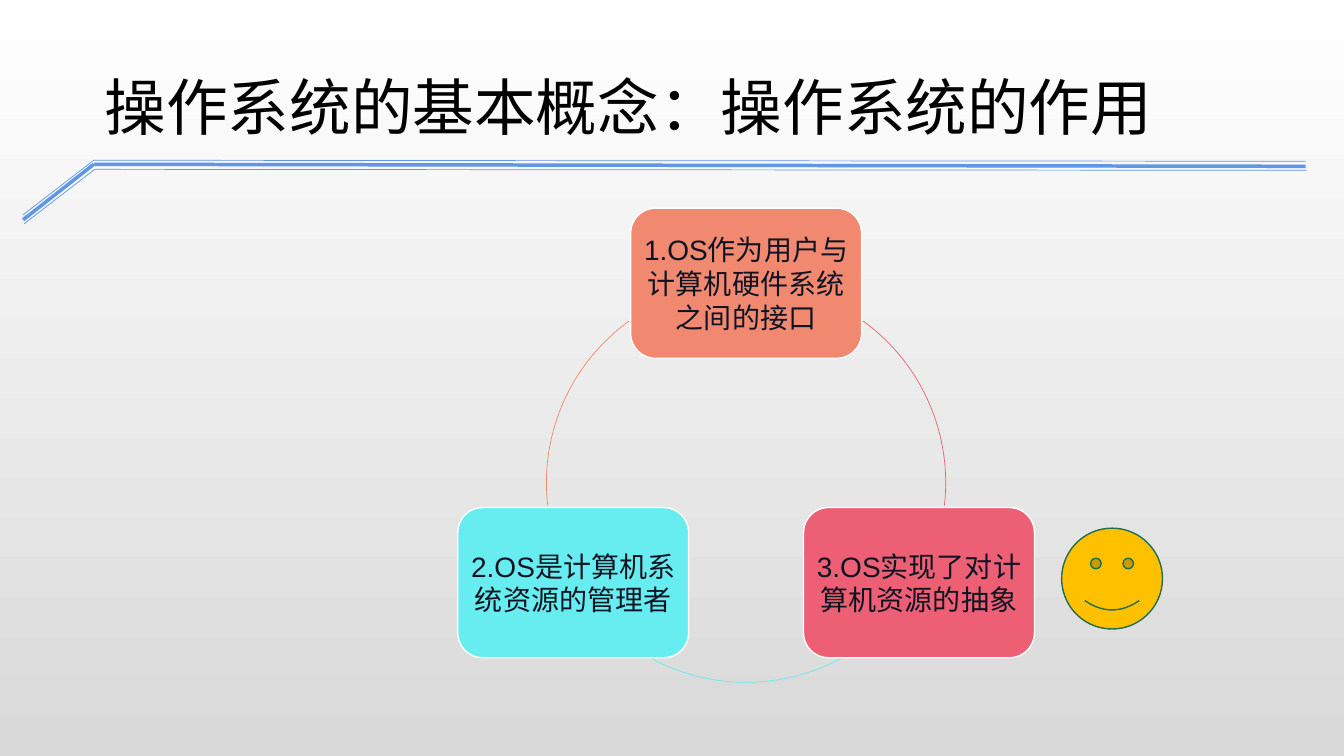
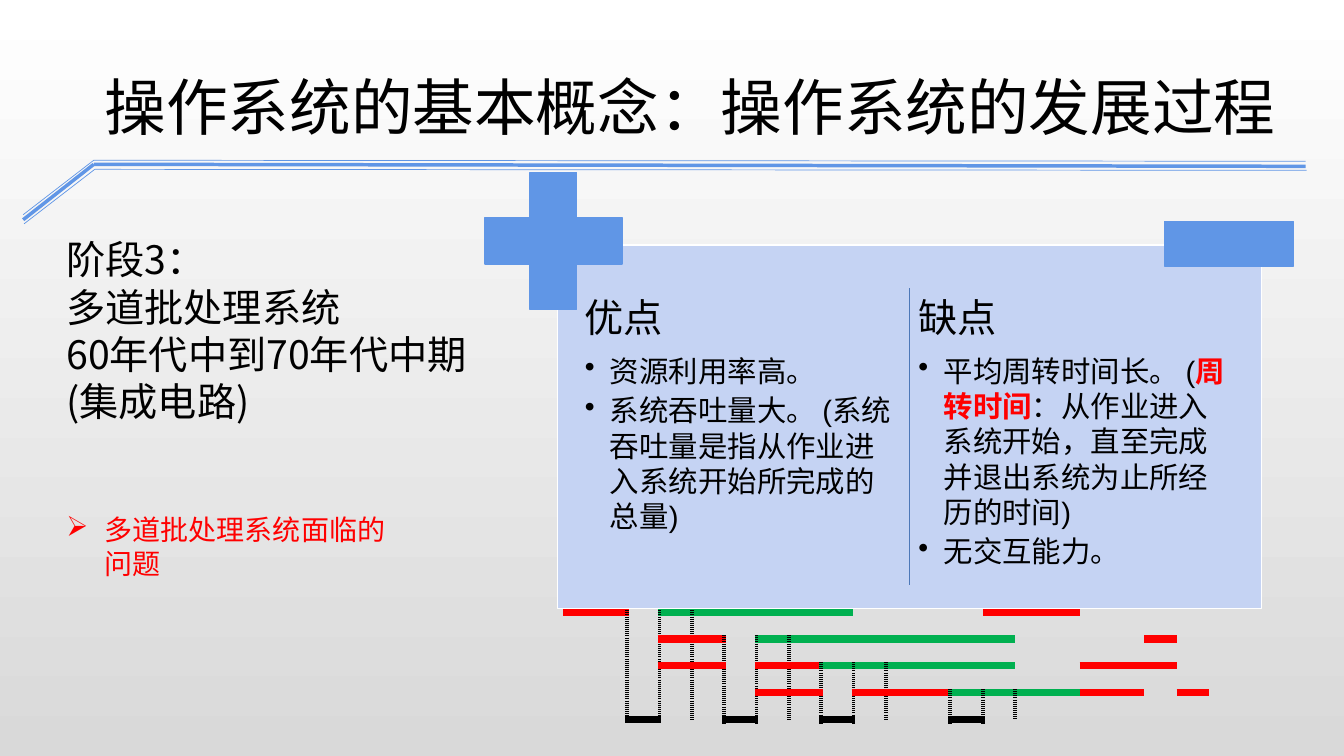
from math import cos, radians, sin

from lxml.etree import SubElement
from pptx import Presentation
from pptx.dml.color import RGBColor
from pptx.enum.shapes import MSO_CONNECTOR as Connector, MSO_SHAPE as Shape
from pptx.enum.text import MSO_ANCHOR as Anchor, PP_ALIGN as Align
from pptx.oxml.ns import qn
from pptx.util import Inches, Pt

COLORS = {
    "white": "FFFFFF", "grey": "D9D9D9", "black": "000000", "ink": "0F1423",
    "blue": "6096E6", "pale": "C5D3F3", "divider": "4D78B8",
    "orange": "F18870", "cyan": "67ECEF", "rose": "EC5F74",
    "yellow": "FFC000", "pine": "226E4B", "red": "FF0000", "green": "00B050",
}
CJK, LATIN = "Noto Sans CJK JP", "Arial"
LINE_HEIGHT = 1.2

BAND = [
    (0.5, [(0.23, 2.13), (0.93, 1.59), (12.95, 1.6)]),
    (2.5, [(0.23, 2.18), (0.93, 1.63), (12.95, 1.65)]),
    (0.5, [(0.24, 2.22), (0.94, 1.68), (12.96, 1.69)]),
]

ROLES_TITLE = "操作系统的基本概念：操作系统的作用"
CYCLE = {"center": (7.4, 4.79), "radius": 1.98, "node": (2.29, 1.49)}
ROLES = [
    ("1.OS作为用户与计算机硬件系统之间的接口", "orange", -90, (173.46, 234.11)),
    ("2.OS是计算机系统资源的管理者", "cyan", 150, (61.66, 118.34)),
    ("3.OS实现了对计算机资源的抽象", "rose", 30, (305.89, 6.54)),
]

HISTORY_TITLE = "操作系统的基本概念：操作系统的发展过程"
STAGE = ["阶段3：", "多道批处理系统", "60年代中到70年代中期(集成电路)"]
PROBLEM = "多道批处理系统面临的问题"
BULLET = {"size": 21, "bullet": "•", "indent": 0.25, "after": 3}
HEADING = {"size": 28, "after": 9}
PROS_CONS = [
    (5.74, "优点", [
        ["资源利用率高。"],
        ["系统吞吐量大。 (系统吞吐量是指从作业进入系统开始所完成的总量)"],
    ]),
    (9.05, "缺点", [
        ["平均周转时间长。 (", ("周转时间", {"color": "red", "bold": True}),
         "：从作业进入系统开始，直至完成并退出系统为止所经历的时间)"],
        ["无交互能力。"],
    ]),
]
JOBS = [
    [("red", 0, 2), ("green", 3, 9), ("red", 13, 16)],
    [("red", 3, 5), ("green", 6, 14), ("red", 18, 19)],
    [("red", 6, 8), ("green", 9, 13), ("red", 16, 18)],
    [("red", 9, 12), ("green", 13, 16), ("red", 19, 20)],
]
SWITCHES = [2, 5, 8, 12]
SLOTS = 20


def rgb(name):
    return RGBColor.from_string(COLORS[name])


def inches(*values):
    return [Inches(value) for value in values]


def write(frame, paragraphs, margins=(0.1, 0.05), anchor=Anchor.TOP):
    side, top = inches(*margins)
    formats = {"word_wrap": True, "vertical_anchor": anchor, "margin_left": side,
               "margin_right": side, "margin_top": top, "margin_bottom": top}
    for name, value in formats.items():
        setattr(frame, name, value)
    for index, (spans, style) in enumerate(paragraphs):
        para = frame.paragraphs[0] if index == 0 else frame.add_paragraph()
        if "bullet" in style:
            indent = Inches(style["indent"])
            properties = para._p.get_or_add_pPr()
            properties.set("marL", str(indent))
            properties.set("indent", str(-indent))
            SubElement(properties, qn("a:buChar"), char=style["bullet"])
        layout = {"alignment": style.get("align", Align.LEFT),
                  "line_spacing": Pt(style["size"] * LINE_HEIGHT),
                  "space_after": Pt(style.get("after", 0))}
        for name, value in layout.items():
            setattr(para, name, value)
        for part in spans:
            text, extra = part if isinstance(part, tuple) else (part, {})
            look = {"font": CJK, "color": "black", "bold": False, **style, **extra}
            span = para.add_run()
            span.text = text
            letters = {"name": look["font"], "size": Pt(look["size"]), "bold": look["bold"]}
            for name, value in letters.items():
                setattr(span.font, name, value)
            span.font.color.rgb = rgb(look["color"])


def add_text(page, place, paragraphs, **options):
    box = page.shapes.add_textbox(*inches(*place))
    write(box.text_frame, paragraphs, **options)


def add_figure(page, kind, place, fill, line, width=1, adjust=()):
    figure = page.shapes.add_shape(kind, *inches(*place))
    figure.shadow.inherit = False
    if fill:
        figure.fill.solid()
        figure.fill.fore_color.rgb = rgb(fill)
    else:
        figure.fill.background()
    figure.line.color.rgb = rgb(line)
    figure.line.width = Pt(width)
    for index, value in enumerate(adjust):
        figure.adjustments[index] = value
    return figure


def add_line(page, start, end, color, width):
    line = page.shapes.add_connector(Connector.STRAIGHT, *inches(*start, *end))
    line.line.color.rgb = rgb(color)
    line.line.width = Pt(width)
    SubElement(line._element.spPr, qn("a:effectLst"))


def add_page(deck, title, width):
    page = deck.slides.add_slide(deck.slide_layouts[6])
    fill = page.background.fill
    fill.gradient()
    fill.gradient_angle = 270
    for stop, color in zip(fill.gradient_stops, ("white", "grey")):
        stop.color.rgb = rgb(color)
    for weight, points in BAND:
        for start, end in zip(points, points[1:]):
            add_line(page, start, end, "blue", weight)
    add_text(page, (0.94, 0.63, width, 0.84), [([title], {"size": 44})])
    return page


def schedule_borders():
    borders = {}
    bars = [(edge, *bar) for edge, job in enumerate(JOBS) for bar in job]
    bars += [(len(JOBS), "black", slot, slot + 1) for slot in SWITCHES]
    for edge, color, first, last in bars:
        for slot in range(first, last):
            borders[edge, slot, "T"] = borders[edge - 1, slot, "B"] = (color, 6, "solid")
    for job, slot in enumerate(SWITCHES):
        for row in range(job, len(JOBS)):
            for column, side in ((slot, "L"), (slot, "R"), (slot - 1, "R"), (slot + 1, "L")):
                borders[row, column, side] = ("black", 3, "sysDot")
    return borders


def add_schedule(page):
    frame = page.shapes.add_table(len(JOBS), SLOTS, *inches(5.58, 6.07, 6.41, 1.07))
    table = frame.table
    table.first_row = table.horz_banding = False
    style = table._tbl.tblPr.find(qn("a:tableStyleId"))
    style.text = "{2D5ABB26-0587-4C30-8999-92F81FD0307C}"
    borders = schedule_borders()
    for row in range(len(JOBS)):
        for column in range(SLOTS):
            cell = table.cell(row, column)
            for side in ("left", "right", "top", "bottom"):
                setattr(cell, f"margin_{side}", 0)
            SubElement(cell.text_frame.paragraphs[0]._p, qn("a:endParaRPr"), sz="800")
            properties = cell._tc.get_or_add_tcPr()
            for side in "LRTB":
                if (row, column, side) in borders:
                    color, width, dash = borders[row, column, side]
                    line = SubElement(properties, qn(f"a:ln{side}"), w=str(Pt(width)))
                    fill = SubElement(line, qn("a:solidFill"))
                    SubElement(fill, qn("a:srgbClr"), val=COLORS[color])
                    SubElement(line, qn("a:prstDash"), val=dash)
            cell.fill.background()


def build_roles(deck):
    page = add_page(deck, ROLES_TITLE, 11.39)
    (x, y), radius, (width, height) = CYCLE.values()
    style = {"size": 20, "font": LATIN, "color": "ink", "align": Align.CENTER}
    for text, color, angle, sweep in ROLES:
        add_figure(page, Shape.ARC, (x - radius, y - radius, 2 * radius, 2 * radius),
                   None, color, 0.5, [degrees * 0.6 for degrees in sweep])
        left = x + radius * cos(radians(angle)) - width / 2
        top = y + radius * sin(radians(angle)) - height / 2
        node = add_figure(page, Shape.ROUNDED_RECTANGLE, (left, top, width, height),
                          color, "white")
        write(node.text_frame, [([text], style)], (0.01, 0.01), Anchor.MIDDLE)
    add_figure(page, Shape.SMILEY_FACE, (10.53, 5.24, 1, 1), "yellow", "pine")


def build_history(deck):
    page = add_page(deck, HISTORY_TITLE, 12.32)
    add_text(page, (0.56, 2.29, 4.19, 1.98), [([line], {"size": 28}) for line in STAGE])
    add_schedule(page)
    add_figure(page, Shape.RECTANGLE, (5.53, 2.43, 6.98, 3.61), "pale", "white")
    for left, heading, points in PROS_CONS:
        paragraphs = [([heading], HEADING)] + [(spans, BULLET) for spans in points]
        paragraphs = [(spans, {**style, "font": LATIN}) for spans, style in paragraphs]
        add_text(page, (left, 2.85, 3.24, 3.09), paragraphs, margins=(0.06, 0.06))
    add_figure(page, Shape.CROSS, (4.81, 1.71, 1.36, 1.36), "blue", "blue", adjust=[0.33])
    add_figure(page, Shape.RECTANGLE, (11.55, 2.2, 1.28, 0.44), "blue", "blue")
    add_line(page, (9.02, 2.86), (9.02, 5.8), "divider", 1)
    style = {"size": 20, "color": "red", "bullet": "➢", "indent": 0.38}
    add_text(page, (0.56, 5.04, 3.58, 0.77), [([PROBLEM], style)])


def main():
    deck = Presentation()
    deck.slide_width, deck.slide_height = inches(13.33, 7.5)
    build_roles(deck)
    build_history(deck)
    deck.save("out.pptx")


if __name__ == "__main__":
    main()
